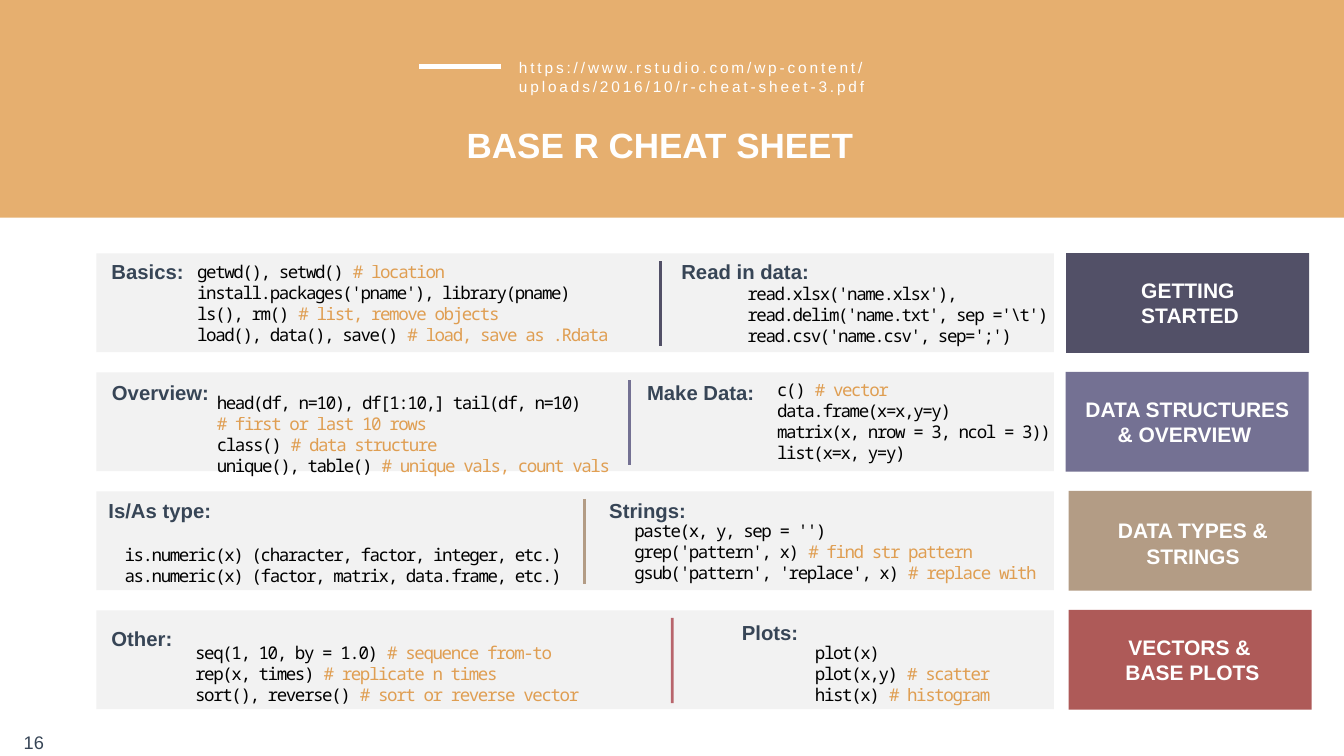
from lxml import etree
from pptx import Presentation
from pptx.dml.color import RGBColor
from pptx.enum.shapes import MSO_CONNECTOR, MSO_SHAPE
from pptx.enum.text import MSO_ANCHOR, MSO_AUTO_SIZE, PP_ALIGN
from pptx.oxml.ns import qn
from pptx.util import Inches, Pt

RECT, STRAIGHT = MSO_SHAPE.RECTANGLE, MSO_CONNECTOR.STRAIGHT
TOP, MIDDLE, FIXED = MSO_ANCHOR.TOP, MSO_ANCHOR.MIDDLE, MSO_AUTO_SIZE.NONE
LEFT, CENTER = PP_ALIGN.LEFT, PP_ALIGN.CENTER
WHITE, BLACK, NAVY, ORANGE, GREY = "FFFFFF", "000000", "374556", "DA8522", "F2F2F2"
SANS, MONO = "Arial", "Noto Sans Mono"
PANEL_TOP, PITCH = 5.03, 2.36

ROWS = [
    dict(tile=("525067", 100, 21.14), divider=("525067", 100, 13.09),
         label=(22.57, 5.45, 2.6, LEFT, ["GETTING", "STARTED"]),
         blocks=[
             ("Basics:", (2.15, 5.08, 2.88), (3.85, 5.12, 8.47, 1.78),
              ["getwd(), setwd() # location",
               "install.packages('pname'), library(pname)",
               "ls(), rm() # list, remove objects",
               "load(), data(), save() # load, save as .Rdata"]),
             ("Read in data:", (13.45, 5.08, 2.88), (14.76, 5.57, 6.86, 1.36),
              ["read.xlsx('name.xlsx'), read.delim('name.txt', sep ='\\t') "
               "read.csv('name.csv', sep=';')"])]),
    dict(tile=("747193", 100, 21.13), divider=("747193", 100, 12.48),
         label=(21.37, 7.81, 4.35, CENTER, ["DATA STRUCTURES & OVERVIEW "]),
         blocks=[
             ("Overview:", (2.16, 7.49, 3.28), (4.24, 7.52, 7.95, 2.19),
              ["head(df, n=10), df[1:10,] tail(df, n=10)",
               "# first or last 10 rows",
               "class() # data structure",
               "unique(), table() # unique vals, count vals"]),
             ("Make Data:", (12.77, 7.49, 3.28), (15.35, 7.47, 5.59, 1.78),
              ["c() # vector",
               "data.frame(x=x,y=y)",
               "matrix(x, nrow = 3, ncol = 3))",
               "list(x=x, y=y)"])]),
    dict(tile=("B39C85", 100, 21.19), divider=("B39C85", 100, 11.59),
         label=(21.48, 10.22, 4.35, CENTER, ["DATA TYPES & STRINGS"]),
         blocks=[
             ("Is/As type:", (2.09, 9.83, 3.41), (2.41, 10.54, 9.56, 1.36),
              ["is.numeric(x) (character, factor, integer, etc.)",
               "as.numeric(x) (factor, matrix, data.frame, etc.)"]),
             ("Strings:", (12.02, 9.83, 3.41), (12.52, 10.27, 9.32, 1.36),
              ["paste(x, y, sep = '')",
               "grep('pattern', x) # find str pattern",
               "gsub('pattern', 'replace', x) # replace with"])]),
    dict(tile=("880C0A", 68, 21.19), divider=("920813", 60, 13.33),
         label=(21.47, 12.54, 4.35, CENTER, ["VECTORS & ", "BASE PLOTS"]),
         blocks=[
             ("Other:", (2.15, 12.36, 2.45), (3.81, 12.47, 8.23, 1.78),
              ["seq(1, 10, by = 1.0) # sequence from-to",
               "rep(x, times) # replicate n times",
               "sort(), reverse() # sort or reverse vector"]),
             ("Plots:", (14.65, 12.25, 1.72), (16.1, 12.69, 4.65, 1.36),
              ["plot(x)",
               "plot(x,y) # scatter",
               "hist(x) # histogram"])]),
]


def paint(color, element, value, alpha=100):
    """Set a colour from a hex string, with opacity in percent."""
    color.rgb = RGBColor.from_string(value)
    if alpha < 100:
        for clr in element.iter(qn("a:srgbClr")):
            etree.SubElement(clr, qn("a:alpha"), val=str(alpha * 1000))


class CheatSheet:
    """Draws the elements of a cheat sheet on one slide."""

    def __init__(self, prs):
        """Add a slide with a title to the presentation."""
        self.s = prs.slides.add_slide(prs.slide_layouts[5])

    def rect(self, x, y, w, h, color, alpha=100):
        """Add a plain filled rectangle."""
        sp = self.s.shapes.add_shape(RECT, Inches(x), Inches(y), Inches(w), Inches(h))
        sp.shadow.inherit = False
        sp.fill.solid()
        paint(sp.fill.fore_color, sp._element.spPr, color, alpha)
        sp.line.fill.background()
        return sp

    def band(self, x, y, w, h, color, alpha):
        """Add a rectangle behind everything else."""
        sp = self.rect(x, y, w, h, color, alpha)
        self.s.shapes._spTree.insert(2, sp._element)

    def line(self, x1, y1, x2, y2, color, width, alpha=100):
        """Add a straight line."""
        cx = self.s.shapes.add_connector(STRAIGHT, Inches(x1), Inches(y1), Inches(x2), Inches(y2))
        cx.line.width = Pt(width)
        paint(cx.line.color, cx._element.spPr, color, alpha)
        etree.SubElement(cx._element.spPr, qn("a:effectLst"))

    def run(self, p, text, size, color, font=SANS, bold=False, spacing=0, alpha=100):
        """Add one formatted run to a paragraph."""
        r = p.add_run()
        r.text = text
        r.font.name, r.font.size, r.font.bold = font, Pt(size), bold
        paint(r.font.color, r._r, color, alpha)
        if spacing:
            r._r.get_or_add_rPr().set("spc", str(round(spacing * 100)))

    def frame(self, sp, size, count=1, align=LEFT, anchor=MIDDLE, inset=0.06):
        """Prepare a text frame and return its paragraphs."""
        tf = sp.text_frame
        tf.word_wrap, tf.auto_size, tf.vertical_anchor = True, FIXED, anchor
        tf.margin_left = tf.margin_right = tf.margin_top = tf.margin_bottom = Inches(inset)
        for _ in range(count - 1):
            tf.add_paragraph()
        for p in tf.paragraphs:
            p.alignment = align
            p.line_spacing = Pt(1.2 * size)
        return tf.paragraphs

    def box(self, x, y, w, h):
        """Add an empty text box."""
        return self.s.shapes.add_textbox(Inches(x), Inches(y), Inches(w), Inches(h))

    def title(self, x, y, w, h, text):
        """Place and fill the title placeholder."""
        sp = self.s.shapes.title
        sp.left, sp.top, sp.width, sp.height = Inches(x), Inches(y), Inches(w), Inches(h)
        p, = self.frame(sp, 50, align=CENTER, anchor=TOP, inset=0.05)
        self.run(p, text, 50, WHITE, bold=True)

    def text(self, x, y, w, h, lines, size, color, bold=False, align=LEFT):
        """Add a text box with one paragraph per line."""
        for p, line in zip(self.frame(self.box(x, y, w, h), size, len(lines), align), lines):
            self.run(p, line, size, color, bold=bold)

    def link(self, x, y, w, h, address):
        """Add a widely spaced web address."""
        p, = self.frame(self.box(x, y, w, h), 22, anchor=TOP, inset=0.05)
        self.run(p, address, 22, WHITE, spacing=4.1)

    def code(self, x, y, w, h, lines):
        """Add code lines with their comments highlighted."""
        for p, line in zip(self.frame(self.box(x, y, w, h), 25, len(lines)), lines):
            command, mark, comment = line.partition("#")
            if command:
                self.run(p, command, 25, BLACK, MONO, spacing=-2)
            if mark:
                self.run(p, mark + comment, 25, ORANGE, MONO, spacing=-2, alpha=76)

    def row(self, i, tile, divider, label, blocks):
        """Add one topic row: panel, divider, code blocks and tile."""
        top = PANEL_TOP + i * PITCH
        self.rect(1.91, top, 18.99, 1.96, GREY)
        color, alpha, x = divider
        self.line(x, top + 0.15, x, top + 1.84, color, 4, alpha)
        for heading, place, area, lines in blocks:
            self.text(*place, 0.6, [heading], 29, NAVY, bold=True)
            self.code(*area, lines)
        color, alpha, x = tile
        self.rect(x, top - 0.01, 4.82, 1.98, color, alpha)
        x, y, w, align, lines = label
        self.text(x, y, w, 1.11, lines, 30, WHITE, True, align)


def main():
    """Build the slide and save it."""
    prs = Presentation()
    prs.slide_width, prs.slide_height = Inches(26.65), Inches(15)
    sheet = CheatSheet(prs)
    sheet.band(0, 0, 26.65, 4.32, ORANGE, 65)
    sheet.title(8.65, 2.4, 9.07, 1.35, "BASE R CHEAT SHEET ")
    sheet.link(10.24, 1.11, 8.11, 1.21,
               "https://www.rstudio.com/wp-content/uploads/2016/10/r-cheat-sheet-3.pdf")
    sheet.line(8.31, 1.32, 9.94, 1.32, WHITE, 7)
    for i, row in enumerate(ROWS):
        sheet.row(i, **row)
    sheet.text(0.41, 14.45, 0.73, 0.55, ["16"], 26, NAVY)
    prs.save("out.pptx")


if __name__ == "__main__":
    main()
